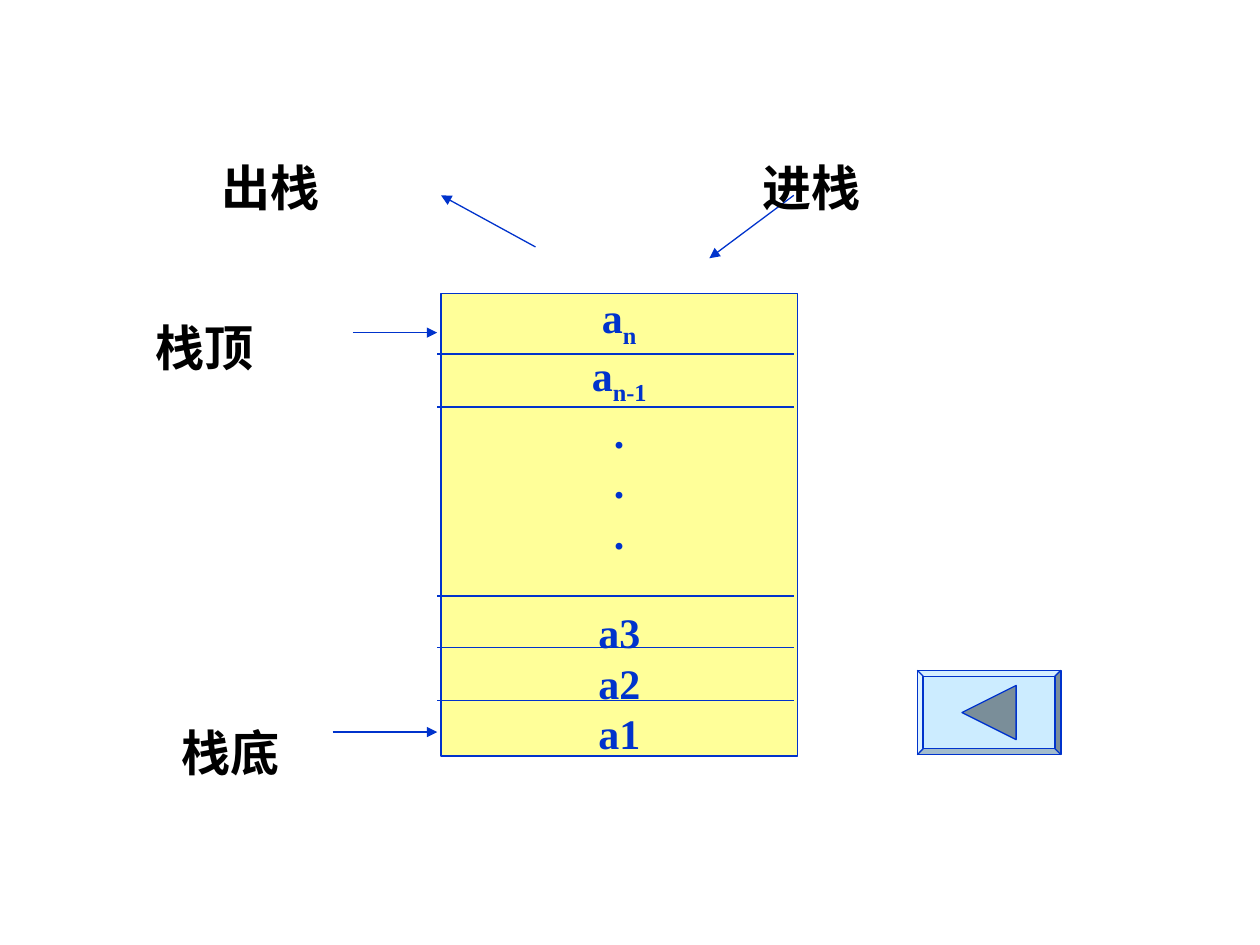
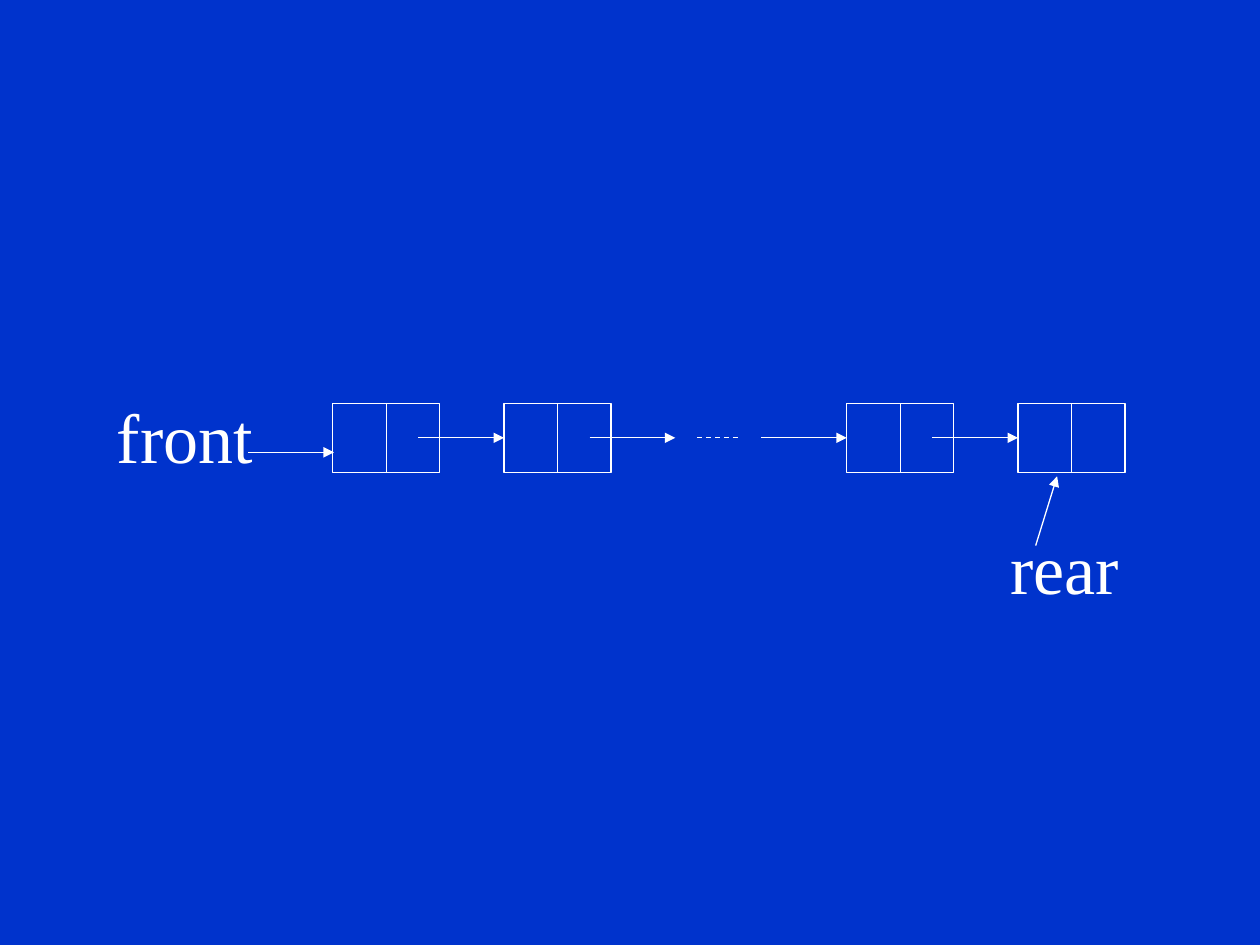
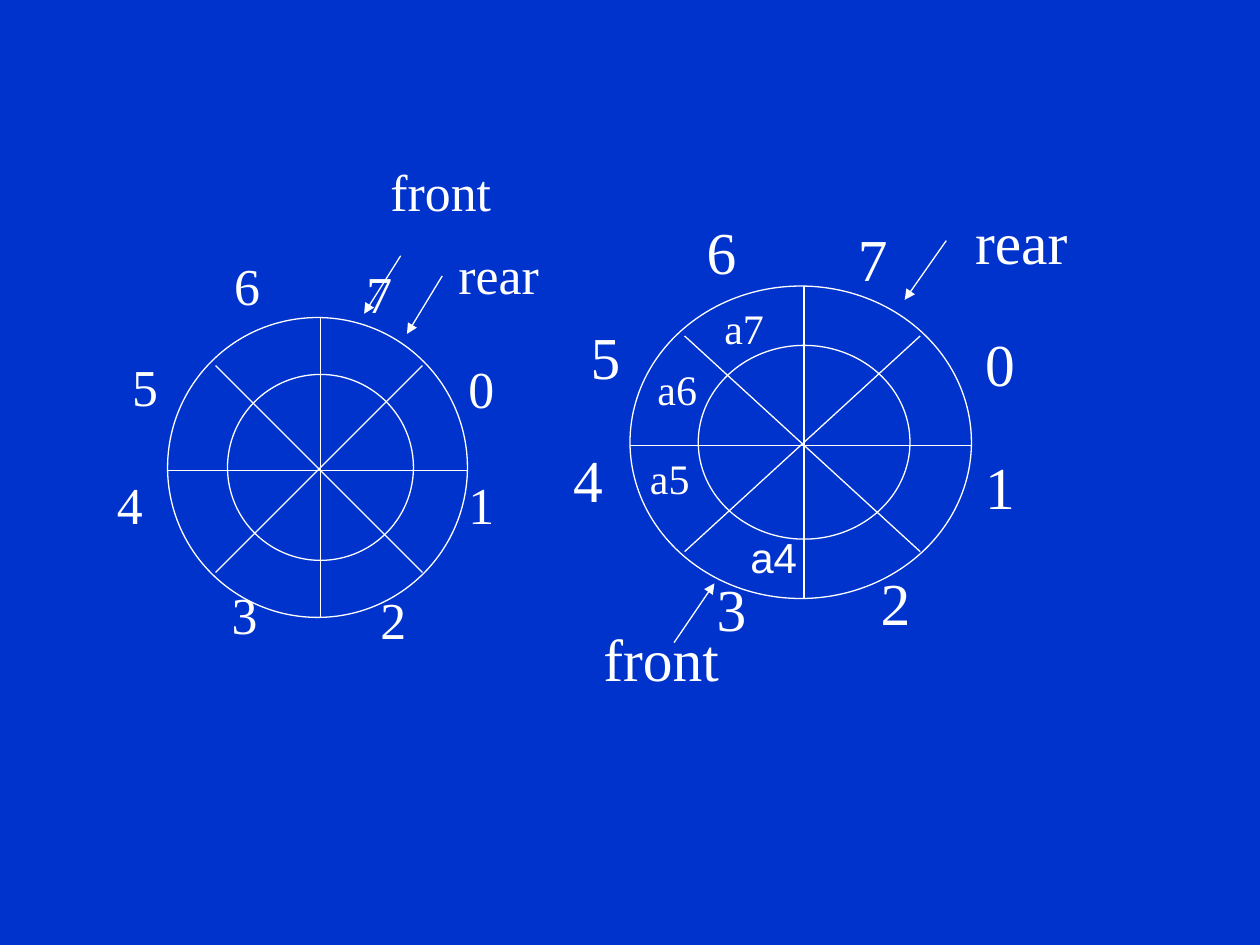
from pptx import Presentation
from pptx.dml.color import RGBColor
from pptx.enum.dml import MSO_LINE
from pptx.enum.shapes import MSO_CONNECTOR, MSO_SHAPE
from pptx.enum.text import MSO_ANCHOR, PP_ALIGN
from pptx.oxml.ns import qn
from pptx.util import Inches, Pt
from lxml import etree

BLUE = RGBColor(0x00, 0x33, 0xCC)
WHITE = RGBColor(0xFF, 0xFF, 0xFF)
BLACK = RGBColor(0x00, 0x00, 0x00)
YELLOW = RGBColor(0xFF, 0xFF, 0x99)
PALE_BLUE = RGBColor(0xCC, 0xEC, 0xFF)
GREY_BLUE = RGBColor(0x7A, 0x8E, 0x99)

RECTANGLE, OVAL = MSO_SHAPE.RECTANGLE, MSO_SHAPE.OVAL
BEVEL, TRIANGLE = MSO_SHAPE.BEVEL, MSO_SHAPE.ISOSCELES_TRIANGLE
STRAIGHT, DASH = MSO_CONNECTOR.STRAIGHT, MSO_LINE.DASH
LEFT, CENTER = PP_ALIGN.LEFT, PP_ALIGN.CENTER
TOP, MIDDLE = MSO_ANCHOR.TOP, MSO_ANCHOR.MIDDLE
SIDE_TOP, SIDE_LEFT, SIDE_BOTTOM = 0, 1, 2
SERIF, SANS = "Times New Roman", "Arial"
LINE_WIDTH = Pt(0.75)

STACK_ROWS = [("a", "n"), ("a", "n-1"), (".", ""), (".", ""), (".", ""),
              ("a3", ""), ("a2", ""), ("a1", "")]
STACK_DIVIDERS = [0.48, 0.9, 2.4, 2.81, 3.23]
STACK_ARROWS = [((-0.86, 3.48), (-0.03, 3.48)), ((-0.7, 0.31), (-0.03, 0.31)),
                ((0.75, -0.37), (0, -0.78)), ((2.8, -0.78), (2.13, -0.28))]
STACK_LABELS = [("出栈", -1.95, -1.15), ("进栈", 2.34, -1.15),
                ("栈顶", -2.48, 0.12), ("栈底", -2.27, 3.34)]

EMPTY_QUEUE = {
    "box": (1.33, 2.52, 2.38, 2.38),
    "size": 29.6,
    "labels": [("0", 2.29, 0.44), ("1", 2.29, 1.36), ("2", 1.59, 2.27), ("3", 0.41, 2.23),
               ("4", -0.5, 1.36), ("5", -0.38, 0.42), ("6", 0.43, -0.38), ("7", 1.48, -0.32),
               ("rear", 2.21, -0.47), ("front", 1.67, -1.13)],
    "cells": [],
    "arrows": [((2.18, -0.33), (1.9, 0.13)), ((1.85, -0.49), (1.56, -0.03))],
}
FILLED_QUEUE = {
    "box": (5, 2.27, 2.71, 2.48),
    "size": 34,
    "labels": [("0", 2.72, 0.48), ("1", 2.72, 1.45), ("2", 1.89, 2.37), ("3", 0.59, 2.42),
               ("4", -0.55, 1.4), ("5", -0.41, 0.42), ("6", 0.51, -0.41), ("7", 1.71, -0.36),
               ("rear", 2.64, -0.49), ("front", -0.31, 2.82)],
    "cells": [("a7", 0.65, 0.16), ("a6", 0.12, 0.64), ("a5", 0.06, 1.35)],
    "arrows": [((0.35, 2.83), (0.67, 2.36)), ((2.51, -0.36), (2.18, 0.11))],
}


def add_slide(presentation, background):
    slide = presentation.slides.add_slide(presentation.slide_layouts[6])
    slide.background.fill.solid()
    slide.background.fill.fore_color.rgb = background
    return slide


def set_font(font, **values):
    color = values.pop("color")
    for name, value in values.items():
        setattr(font, name, value)
    font.color.rgb = color


def add_outline(slide, kind, box, color, fill=None):
    shape = slide.shapes.add_shape(kind, *map(Inches, box))
    shape.shadow.inherit = False
    if fill is None:
        shape.fill.background()
    else:
        shape.fill.solid()
        shape.fill.fore_color.rgb = fill
    shape.line.color.rgb = color
    shape.line.width = LINE_WIDTH
    return shape


def add_line(slide, origin, start, end, color, arrow=False):
    left, top = origin
    points = (left + start[0], top + start[1], left + end[0], top + end[1])
    connector = slide.shapes.add_connector(STRAIGHT, *map(Inches, points))
    connector.line.color.rgb = color
    connector.line.width = LINE_WIDTH
    if arrow:
        line = connector.line._get_or_add_ln()
        etree.SubElement(line, qn("a:tailEnd"), type="triangle")
    etree.SubElement(connector._element.spPr, qn("a:effectLst"))
    return connector


def add_label(slide, text, box, size, color, spacing=1.0, name=SERIF, bold=False,
              align=LEFT, anchor=TOP):
    frame = slide.shapes.add_textbox(*map(Inches, box)).text_frame
    frame.word_wrap = True
    frame.vertical_anchor = anchor
    paragraph = frame.paragraphs[0]
    paragraph.alignment = align
    paragraph.line_spacing = spacing
    run = paragraph.add_run()
    run.text = text
    set_font(run.font, name=name, size=Pt(size), bold=bold, color=color)


def draw_stack(slide, left, top, width, height):
    origin = (left, top)
    stack = add_outline(slide, RECTANGLE, (left, top, width, height), BLUE, YELLOW)
    frame = stack.text_frame
    frame.word_wrap = False
    frame.vertical_anchor = MIDDLE
    for index, (text, subscript) in enumerate(STACK_ROWS):
        paragraph = frame.add_paragraph() if index else frame.paragraphs[0]
        paragraph.alignment = CENTER
        if text == "a3":
            paragraph.space_before = Pt(28)
        for part in filter(None, (text, subscript)):
            run = paragraph.add_run()
            run.text = part
            set_font(run.font, name=SERIF, size=Pt(24), bold=True, color=BLUE)
        if subscript:
            run.font._element.set("baseline", "-25000")
    for offset in STACK_DIVIDERS:
        add_line(slide, origin, (-0.03, offset), (width - 0.03, offset), BLUE)
    for start, end in STACK_ARROWS:
        add_line(slide, origin, start, end, BLUE, arrow=True)
    for text, x, y in STACK_LABELS:
        add_label(slide, text, (left + x, top + y, 1.2, 0.6), 28, BLACK,
                  name=SANS, bold=True, align=CENTER, anchor=MIDDLE)


def draw_back_button(slide, left, top, width, height):
    button = add_outline(slide, BEVEL, (left, top, width, height), BLUE, PALE_BLUE)
    button.adjustments[0] = 0.07
    side = 0.43
    box = (left + (width - side) / 2, top + (height - side) / 2, side, side)
    add_outline(slide, TRIANGLE, box, BLUE, GREY_BLUE).rotation = 270


def draw_linked_queue(slide, left, top):
    origin = (left, top)
    width, height, pitch = 0.85, 0.55, 1.36
    middle = height / 2
    nodes = {}
    for position in (0, 1, 3, 4):
        x = position * pitch
        node = add_outline(slide, RECTANGLE, (left + x, top, width, height), WHITE)
        divider = add_line(slide, origin, (x + width / 2, 0), (x + width / 2, height), WHITE)
        divider.begin_connect(node, SIDE_TOP)
        divider.end_connect(node, SIDE_BOTTOM)
        nodes[position] = node
    for position in range(4):
        x = position * pitch
        link = add_line(slide, origin, (x + pitch / 2, middle), (x + pitch, middle),
                        WHITE, arrow=True)
        if position + 1 in nodes:
            link.end_connect(nodes[position + 1], SIDE_LEFT)
    add_line(slide, origin, (2.89, middle), (3.23, middle), WHITE).line.dash_style = DASH
    for start, end in (((-0.67, 0.39), (0.01, 0.39)), ((5.58, 1.13), (5.75, 0.58))):
        add_line(slide, origin, start, end, WHITE, arrow=True)
    for text, x, y in (("front", -1.81, 0), ("rear", 5.28, 1.04)):
        add_label(slide, text, (left + x, top + y, 1.39, 0.69), 40, WHITE, 0.8)


def draw_circular_queue(slide, queue):
    left, top, width, height = queue["box"]
    origin = (left, top)
    add_outline(slide, OVAL, queue["box"], WHITE)
    inner = (left + 0.2 * width, top + 0.19 * height, 0.62 * width, 0.62 * height)
    add_outline(slide, OVAL, inner, WHITE)
    near, far, center = 0.16, 0.85, 0.51
    for x1, y1, x2, y2 in ((center, 0, center, 1), (0, center, 1, center),
                           (near, near, far, far), (far, near, near, far)):
        add_line(slide, origin, (x1 * width, y1 * height), (x2 * width, y2 * height), WHITE)
    for start, end in queue["arrows"]:
        add_line(slide, origin, start, end, WHITE, arrow=True)
    for group, size, spacing in (("labels", queue["size"], 0.6), ("cells", 24, 0.8)):
        for text, x, y in queue[group]:
            label_width = 1.31 if len(text) > 2 else 0.9
            add_label(slide, text, (left + x, top + y, label_width, 0.47), size, WHITE, spacing)


def main():
    presentation = Presentation()
    presentation.slide_width = Inches(10)
    presentation.slide_height = Inches(7.5)

    stack_slide = add_slide(presentation, WHITE)
    draw_stack(stack_slide, 3.5, 2.33, 2.83, 3.67)
    draw_back_button(stack_slide, 7.28, 5.32, 1.14, 0.67)

    linked_slide = add_slide(presentation, BLUE)
    draw_linked_queue(linked_slide, 2.64, 3.2)

    circular_slide = add_slide(presentation, BLUE)
    for queue in (EMPTY_QUEUE, FILLED_QUEUE):
        draw_circular_queue(circular_slide, queue)
    add_label(circular_slide, "a4", (5.55, 4.14, 1.18, 0.55), 24, WHITE,
              name=SANS, align=CENTER, anchor=MIDDLE)

    presentation.save("out.pptx")


if __name__ == "__main__":
    main()
